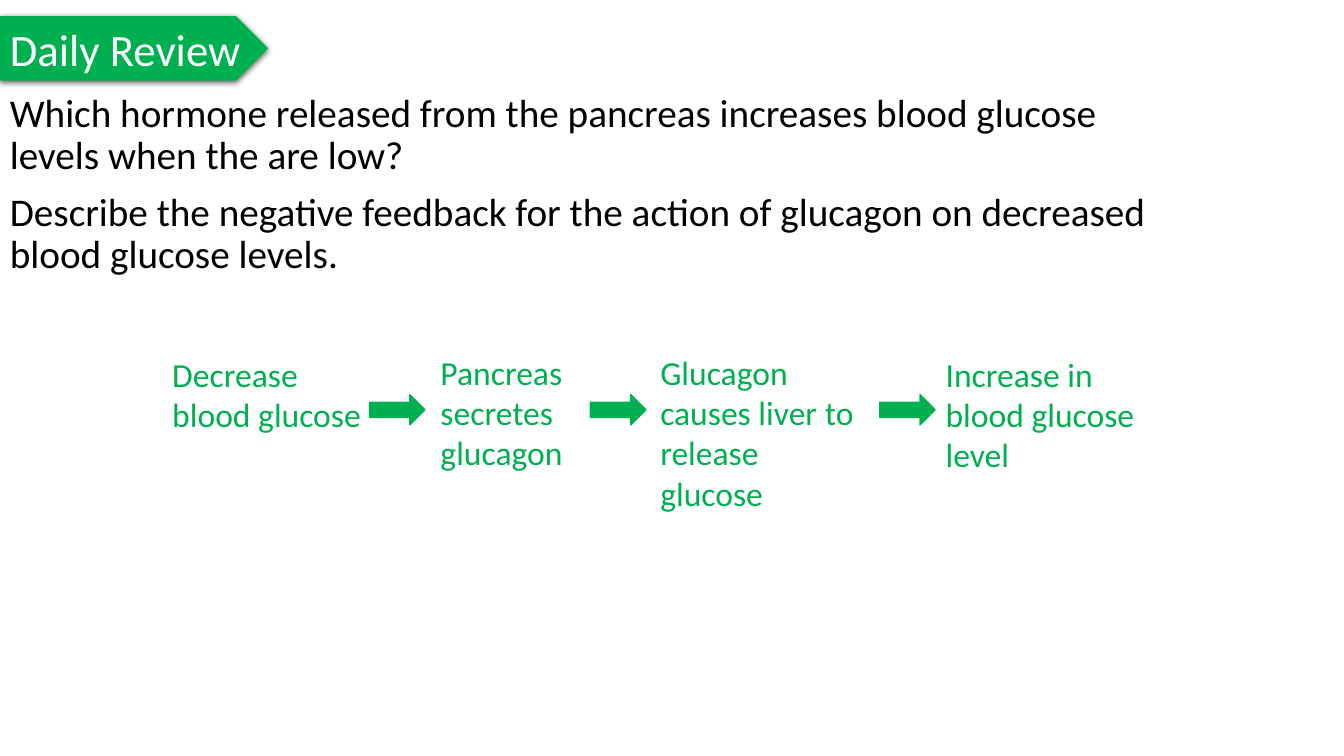
from lxml import etree
from pptx import Presentation
from pptx.dml.color import RGBColor
from pptx.enum.shapes import MSO_SHAPE as Preset
from pptx.enum.text import MSO_ANCHOR as Anchor, PP_ALIGN as Align
from pptx.oxml.ns import qn
from pptx.util import Inches, Pt

COLORS = {"green": "00B050", "white": "FFFFFF", "black": "000000"}
FONT = "Calibri"

TITLE = "Daily Review"
QUESTIONS = [
    "Which hormone released from the pancreas increases blood glucose levels when the are low?",
    "Describe the negative feedback for the action of glucagon on decreased blood glucose levels.",
]
# Text, left, top and height of each step
STEPS = [
    ("Decrease blood glucose", 1.61, 3.46, 0.91),
    ("Pancreas secretes glucagon", 4.27, 3.44, 1.31),
    ("Glucagon causes liver to release glucose", 6.45, 3.44, 1.72),
    ("Increase in blood glucose level", 9.28, 3.46, 1.31),
]
STEP_WIDTH = 2.18
ARROW_LEFTS = [3.79, 5.98, 8.85]
ARROW_TOP, ARROW_WIDTH, ARROW_LENGTH = 3.79, 0.3, 0.55


def rgb(name):
    return RGBColor.from_string(COLORS[name])


def write(frame, lines, size, color, line_spacing=None, gap=0):
    for index, line in enumerate(lines):
        paragraph = frame.paragraphs[0] if index == 0 else frame.add_paragraph()
        paragraph.text = line
        paragraph.alignment = Align.LEFT
        paragraph.line_spacing = line_spacing
        if index:
            paragraph.space_before = Pt(gap)
        paragraph.font.name = FONT
        paragraph.font.size = Pt(size)
        paragraph.font.color.rgb = rgb(color)


def add_text(slide, box, *text, **spacing):
    frame = slide.shapes.add_textbox(*map(Inches, box)).text_frame
    frame.word_wrap = True
    write(frame, *text, **spacing)


def add_green_shape(slide, preset, box):
    shape = slide.shapes.add_shape(preset, *map(Inches, box))
    shape.shadow.inherit = False
    shape.fill.solid()
    shape.fill.fore_color.rgb = rgb("green")
    return shape


def add_drop_shadow(shape):
    effects = shape._element.spPr.find(qn("a:effectLst"))
    shadow = etree.SubElement(
        effects, qn("a:outerShdw"), blurRad=str(Pt(4.5)), dist=str(Pt(1.5)),
        dir="5400000", rotWithShape="0")
    color = etree.SubElement(shadow, qn("a:srgbClr"), val=COLORS["black"])
    etree.SubElement(color, qn("a:alpha"), val="63000")


def add_banner(slide):
    banner = add_green_shape(slide, Preset.PENTAGON, (0, 0.16, 2.66, 0.64))
    banner.line.fill.background()
    add_drop_shadow(banner)
    banner.text_frame.word_wrap = False
    banner.text_frame.vertical_anchor = Anchor.MIDDLE
    write(banner.text_frame, [TITLE], 32, "white")


def add_arrow(slide, left):
    arrow = add_green_shape(
        slide, Preset.DOWN_ARROW, (left, ARROW_TOP, ARROW_WIDTH, ARROW_LENGTH))
    arrow.rotation = 270
    arrow.line.color.rgb = rgb("green")
    arrow.line.width = Pt(1)


def main():
    presentation = Presentation()
    presentation.slide_width = Inches(13.33)
    presentation.slide_height = Inches(7.5)
    slide = presentation.slides.add_slide(presentation.slide_layouts[6])

    add_banner(slide)
    add_text(slide, (0, 0.88, 11.5, 3.25), QUESTIONS, 28, "black",
             line_spacing=0.9, gap=10)
    for text, left, top, height in STEPS:
        add_text(slide, (left, top, STEP_WIDTH, height), [text], 24, "green")
    for left in ARROW_LEFTS:
        add_arrow(slide, left)

    presentation.save("out.pptx")


if __name__ == "__main__":
    main()
